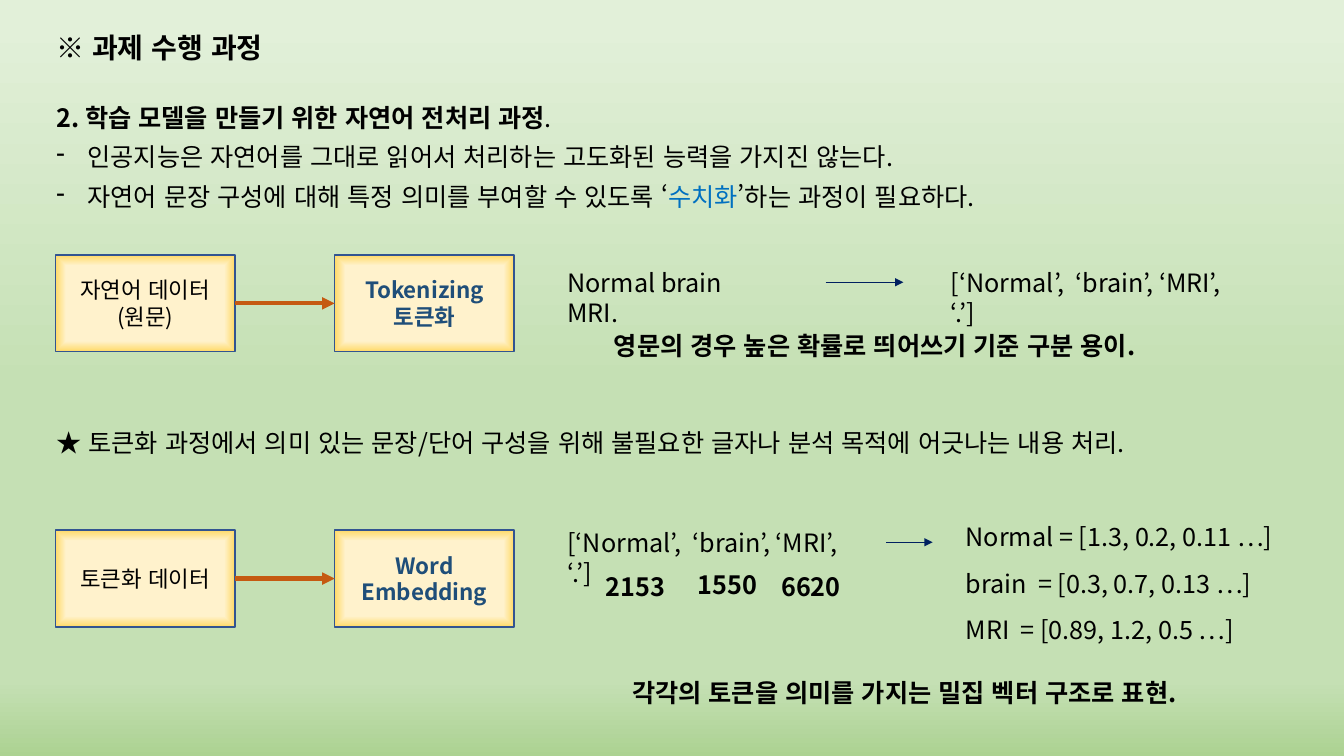
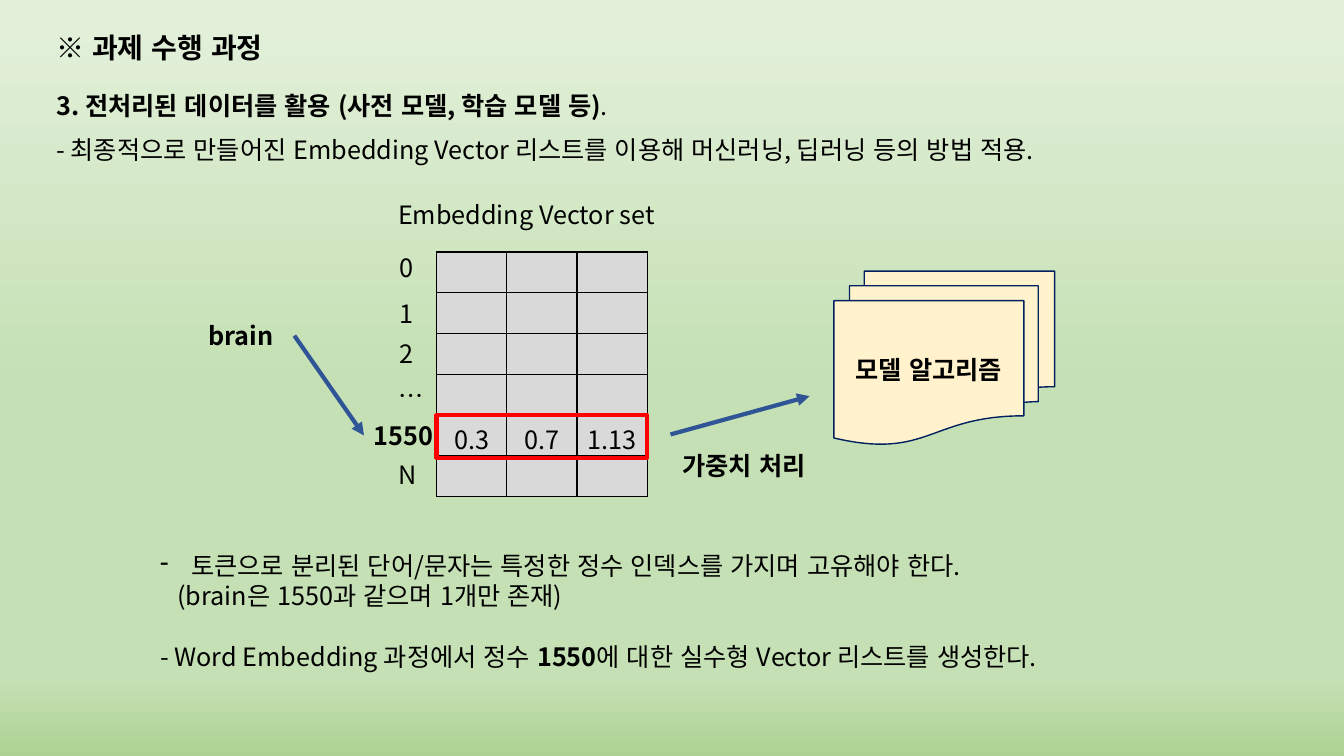
import dataclasses
import typing

import pptx
import pptx.dml.color
import pptx.enum.lang
import pptx.enum.shapes
import pptx.enum.text
import pptx.oxml.ns
import pptx.slide
import pptx.util
from lxml import etree

Inches = pptx.util.Inches
Pt = pptx.util.Pt
qn = pptx.oxml.ns.qn
Shape = pptx.enum.shapes.MSO_SHAPE
Align = pptx.enum.text.PP_ALIGN
Anchor = pptx.enum.text.MSO_ANCHOR


@dataclasses.dataclass(frozen=True)
class Theme:
    font: str = "Noto Sans CJK KR"
    title: int = 20
    body: int = 18
    small: int = 16
    lead: int = 28
    gap: float = 21.5
    ink: str = "000000"
    blue: str = "0070C0"
    deep: str = "1F4E79"
    edge: str = "325491"
    cream: str = "FFF2CC"
    gold: str = "FFD966"
    rust: str = "C55A11"
    navy: str = "002060"
    steel: str = "2F5597"
    gray: str = "D9D9D9"
    red: str = "FF0000"
    back: tuple = ((3, "E2F0D9"), (51, "C5E0B4"), (90, "C5E0B4"), (100, "ACD292"))


T = Theme()


class Run(typing.NamedTuple):
    text: str
    bold: bool = False
    color: str = T.ink


class Para(typing.NamedTuple):
    runs: tuple[Run, ...]
    lead: int = 0
    dash: bool = False
    gap: float = 0
    inset: float = 0


class Note(typing.NamedTuple):
    left: float
    top: float
    width: float
    paras: tuple[Para, ...]
    height: float = 0.4
    size: int = T.body
    wrap: bool = True


class Arrow(typing.NamedTuple):
    start: tuple[float, float]
    end: tuple[float, float]
    color: str
    width: float


class Flow(typing.NamedTuple):
    """Two joined boxes in one row."""
    top: float
    source: tuple[str, ...]
    result: tuple[str, ...]


def line(text: str, bold: bool = False, color: str = T.ink) -> Para:
    return Para((Run(text, bold, color),))


def plain(left: float, top: float, width: float, text: str, bold: bool = False) -> Note:
    return Note(left, top, width, (line(text, bold),))


def tint(code: str) -> pptx.dml.color.RGBColor:
    return pptx.dml.color.RGBColor.from_string(code)


def apply(item: typing.Any, form: dict[str, typing.Any]) -> None:
    for key, value in form.items():
        setattr(item, key, value)


def write(frame: typing.Any, paras: tuple[Para, ...], size: int, align: typing.Any = Align.LEFT) -> None:
    for index, para in enumerate(paras):
        block = frame.paragraphs[0] if index == 0 else frame.add_paragraph()
        block.alignment = align
        if para.lead:
            block.line_spacing = Pt(para.lead)
        if para.gap:
            block.space_before = Pt(para.gap)
        props = block._p.get_or_add_pPr()
        if para.inset:
            props.set("marL", str(Inches(para.inset)))
        if para.dash:
            props.set("marL", str(Inches(0.31)))
            props.set("indent", str(-Inches(0.31)))
            etree.SubElement(props, qn("a:buChar"), char="-")
        for part in para.runs:
            run = block.add_run()
            run.text = part.text
            apply(run.font, {"size": Pt(size), "bold": part.bold, "name": T.font,
                             "language_id": pptx.enum.lang.MSO_LANGUAGE_ID.KOREAN})
            run.font.color.rgb = tint(part.color)
            latin = run._r.rPr.find(qn("a:latin"))
            latin.addnext(latin.makeelement(qn("a:ea"), {"typeface": T.font}))


def add_note(slide: pptx.slide.Slide, note: Note) -> None:
    box = slide.shapes.add_textbox(*map(Inches, (note.left, note.top, note.width, note.height)))
    apply(box.text_frame, {"word_wrap": note.wrap,
                           "auto_size": pptx.enum.text.MSO_AUTO_SIZE.SHAPE_TO_FIT_TEXT})
    write(box.text_frame, note.paras, note.size)


def ramp(item: typing.Any, fill: typing.Any, stops: tuple, inner: bool = False) -> None:
    """Fill with a gradient running downward, or from the centre out if inner."""
    fill.gradient()
    grad = item.element.find(".//" + qn("a:gradFill"))
    grad.clear()
    group = etree.SubElement(grad, qn("a:gsLst"))
    for place, code in stops:
        stop = etree.SubElement(group, qn("a:gs"), pos=str(place * 1000))
        etree.SubElement(stop, qn("a:srgbClr"), val=code)
    if inner:
        shade = etree.SubElement(grad, qn("a:path"), {"path": "shape"})
        etree.SubElement(shade, qn("a:fillToRect"), dict.fromkeys("ltrb", "50000"))
    else:
        etree.SubElement(grad, qn("a:lin"), ang="5400000", scaled="0")


def add_form(slide: pptx.slide.Slide, kind: typing.Any, area: tuple, edge: str, width: float,
             paras: tuple[Para, ...] = (), size: int = T.body) -> typing.Any:
    form = slide.shapes.add_shape(kind, *map(Inches, area))
    form.shadow.inherit = False
    form.line.color.rgb = tint(edge)
    form.line.width = Pt(width)
    apply(form.text_frame, {"word_wrap": True, "vertical_anchor": Anchor.MIDDLE})
    write(form.text_frame, paras, size, Align.CENTER)
    return form


def add_arrow(slide: pptx.slide.Slide, arrow: Arrow) -> typing.Any:
    link = slide.shapes.add_connector(pptx.enum.shapes.MSO_CONNECTOR.STRAIGHT,
                                      *map(Inches, arrow.start + arrow.end))
    link.line.color.rgb = tint(arrow.color)
    link.line.width = Pt(arrow.width)
    etree.SubElement(link.line._get_or_add_ln(), qn("a:tailEnd"), type="triangle")
    etree.SubElement(link.element.spPr, qn("a:effectLst"))
    return link


def add_flow(slide: pptx.slide.Slide, flow: Flow) -> None:
    wide, high = 1.78, 0.96
    boxes = []
    for left, texts, bold, color in ((0.55, flow.source, False, T.ink),
                                     (3.32, flow.result, True, T.deep)):
        paras = tuple(line(text, bold, color) for text in texts)
        box = add_form(slide, Shape.RECTANGLE, (left, flow.top, wide, high), T.edge, 1, paras, T.small)
        ramp(box, box.fill, ((78, T.cream), (100, T.gold)), inner=True)
        boxes.append(box)
    middle = flow.top + high / 2
    link = add_arrow(slide, Arrow((0.55 + wide, middle), (3.32, middle), T.rust, 3))
    link.begin_connect(boxes[0], 3)
    link.end_connect(boxes[1], 1)


def add_grid(slide: pptx.slide.Slide, cells: dict[tuple[int, int], str]) -> None:
    rows, cols, wide, high = 6, 3, 0.697, 0.405
    area = map(Inches, (4.33, 2.5, cols * wide, rows * high))
    table = slide.shapes.add_table(rows, cols, *area).table
    apply(table, {"first_row": False, "horz_banding": False})
    for row in range(rows):
        for col in range(cols):
            cell = table.cell(row, col)
            props = cell._tc.get_or_add_tcPr()
            for side in ("lnL", "lnR", "lnT", "lnB"):
                edge = etree.SubElement(props, qn("a:" + side), w=str(Pt(1)))
                paint = etree.SubElement(edge, qn("a:solidFill"))
                etree.SubElement(paint, qn("a:srgbClr"), val=T.ink)
            cell.fill.solid()
            cell.fill.fore_color.rgb = tint(T.gray)
            if (row, col) in cells:
                write(cell.text_frame, (line(cells[row, col]),), T.body, Align.CENTER)


def add_slide(deck: typing.Any, notes: tuple[Note, ...]) -> pptx.slide.Slide:
    """Add a slide with the shared background and title, then its notes."""
    slide = deck.slides.add_slide(deck.slide_layouts[6])
    ramp(slide, slide.background.fill, T.back)
    title = Note(0.46, 0.25, 2.28, (line("※ 과제 수행 과정", True),), 0.44, T.title, False)
    for note in (title,) + notes:
        add_note(slide, note)
    return slide


TOKENS = "[‘Normal’,  ‘brain’, ‘MRI’, ‘.’]"
VECTORS = ("Normal = [1.3, 0.2, 0.11 …]", "brain  = [0.3, 0.7, 0.13 …]", "MRI  = [0.89, 1.2, 0.5 …]")

PREP = (
    Note(0.46, 0.88, 10.45, (
        Para((Run("2. 학습 모델을 만들기 위한 자연어 전처리 과정", True), Run(".")), T.lead),
        Para((Run("인공지능은 자연어를 그대로 읽어서 처리하는 고도화된 능력을 가지진 않는다."),), T.lead, True),
        Para((Run("자연어 문장 구성에 대해 특정 의미를 부여할 수 있도록 ‘"), Run("수치화", color=T.blue),
              Run("’하는 과정이 필요하다.")), T.lead, True),
    ), 1.24, wrap=False),
    plain(5.53, 2.6, 2.28, "Normal brain MRI."),
    plain(9.33, 2.6, 3.15, TOKENS),
    plain(5.99, 3.23, 6.06, "영문의 경우 높은 확률로 띄어쓰기 기준 구분 용이.", True),
    plain(0.46, 4.19, 11.93,
          "★ 토큰화 과정에서 의미 있는 문장/단어 구성을 위해 불필요한 글자나 분석 목적에 어긋나는 내용 처리."),
    plain(5.53, 5.18, 3.15, TOKENS),
    plain(5.91, 5.62, 0.95, "2153", True),
    plain(6.82, 5.6, 0.95, "1550", True),
    plain(7.65, 5.62, 0.95, "6620", True),
    *(plain(9.48, 5.12 + 0.465 * row, 3.39, text) for row, text in enumerate(VECTORS)),
    plain(6.17, 6.67, 6.32, "각각의 토큰을 의미를 가지는 밀집 벡터 구조로 표현.", True),
)

FLOWS = (
    Flow(2.53, ("자연어 데이터", "(원문)"), ("Tokenizing", "토큰화")),
    Flow(5.26, ("토큰화 데이터",), ("Word Embedding",)),
)

APPLY = (
    Note(0.46, 0.76, 6.67, (
        Para((Run("3. 전처리된 데이터를 활용 (사전 모델, 학습 모델 등)", True), Run(".")), T.lead),), 0.45),
    plain(0.46, 1.28, 11.93,
          "- 최종적으로 만들어진 Embedding Vector 리스트를 이용해 머신러닝, 딥러닝 등의 방법 적용."),
    plain(3.85, 1.93, 3.23, "Embedding Vector set"),
    plain(3.86, 2.45, 0.95, "0"),
    plain(3.86, 2.91, 0.95, "1"),
    plain(3.86, 3.31, 0.95, "2"),
    plain(3.85, 3.72, 0.95, "…"),
    plain(3.61, 4.12, 0.95, "1550", True),
    plain(3.85, 4.51, 0.95, "N"),
    plain(1.97, 3.13, 0.95, "brain", True),
    plain(6.67, 4.42, 1.75, "가중치 처리", True),
    Note(1.49, 5.41, 9.85, (
        Para((Run("토큰으로 분리된 단어/문자는 특정한 정수 인덱스를 가지며 고유해야 한다."),), dash=True),
        Para((Run("(brain은 1550과 같으며 1개만 존재)"),), inset=0.17),
        Para((Run("- Word Embedding 과정에서 정수 "), Run("1550", True),
              Run("에 대한 실수형 Vector 리스트를 생성한다.")), gap=T.gap),
    ), 1.31),
)


def main() -> None:
    deck = pptx.Presentation()
    apply(deck, {"slide_width": Inches(13.33), "slide_height": Inches(7.5)})

    prep = add_slide(deck, PREP)
    for flow in FLOWS:
        add_flow(prep, flow)
    for left, right, top in ((8.19, 8.96, 2.8), (8.79, 9.25, 5.38)):
        add_arrow(prep, Arrow((left, top), (right, top), T.navy, 0.5))

    use = add_slide(deck, APPLY)
    add_grid(use, {(4, 0): "0.3", (4, 1): "0.7", (4, 2): "1.13"})
    frame = add_form(use, Shape.RECTANGLE, (4.33, 4.12, 2.09, 0.42), T.red, 3)
    frame.fill.background()
    model = add_form(use, Shape.FLOWCHART_MULTIDOCUMENT, (8.27, 2.69, 2.19, 1.72), T.navy, 1,
                     (line("모델 알고리즘", True),))
    model.fill.solid()
    model.fill.fore_color.rgb = tint(T.cream)
    for start, end in (((2.92, 3.33), (3.61, 4.32)), ((6.65, 4.31), (8.03, 3.93))):
        add_arrow(use, Arrow(start, end, T.steel, 3))

    deck.save("out.pptx")


if __name__ == "__main__":
    main()
